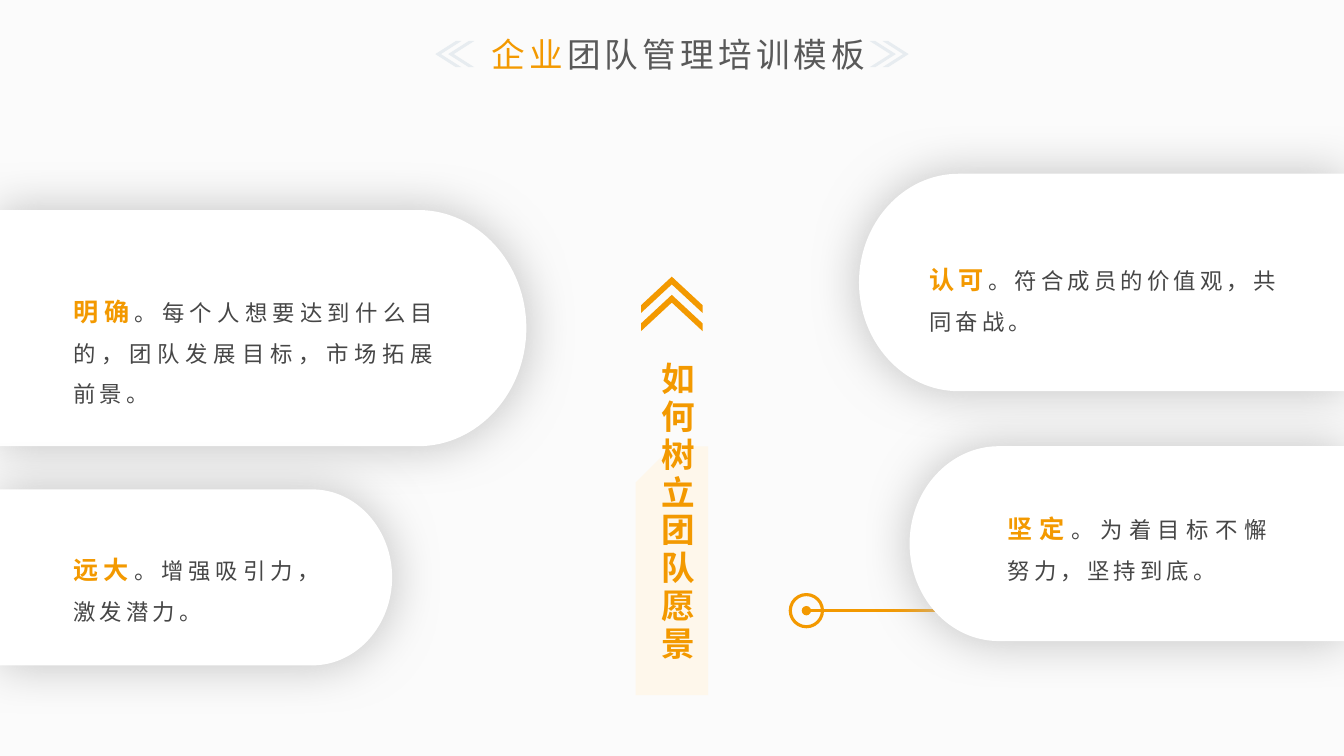
from lxml.etree import SubElement
from pptx import Presentation
from pptx.dml.color import RGBColor
from pptx.enum.shapes import MSO_CONNECTOR, MSO_SHAPE
from pptx.enum.text import MSO_ANCHOR, PP_ALIGN
from pptx.oxml.ns import qn
from pptx.util import Pt

FONT = "Noto Sans CJK SC"
COLORS = {
    "background": "FBFBFB",
    "accent": "F39900",
    "title": "595959",
    "body": "464646",
    "pale": "E7ECF0",
    "cream": "FEF7EB",
    "card": "FFFFFF",
    "shadow": "BFBFBF",
}
CURVE = 0.55
CARDS = [
    (960, 684.7, 613.6, 124.1, 279.4),
    (960, 713.5, 649.7, 318.7, 457.9),
    (0, 298.8, 376, 150, 318.7),
    (0, 223.2, 280.1, 349.6, 475.3),
]
VISIONS = [
    ("明确", "。每个人想要达到什么目的，团队发展目标，市场拓展前景。", (45.4, 197.3, 274.3, 95)),
    ("远大", "。增强吸引力，激发潜力。", (45.4, 381.6, 193.7, 66.2)),
    ("认可", "。符合成员的价值观，共同奋战。", (656.6, 174.2, 265, 66.2)),
    ("坚定", "。为着目标不懈努力，坚持到底。", (712.8, 352.1, 202.3, 66.2)),
]


def color(name):
    """Return the named colour."""
    return RGBColor.from_string(COLORS[name])


def add_text(paragraph, text, size=24, color_name="accent", bold=False):
    """Add a widely spaced run to a paragraph."""
    run = paragraph.add_run()
    run.text = text
    run.font.size = Pt(size)
    run.font.bold = bold
    run.font.color.rgb = color(color_name)
    run.font.name = FONT
    properties = run._r.get_or_add_rPr()
    properties.set("spc", "300")
    SubElement(properties, qn("a:ea"), typeface=FONT)


def add_preset(slide, kind, box, fill=None, line=None, rotation=0, adjustment=None):
    """Add a preset shape with a plain fill or outline."""
    shape = slide.shapes.add_shape(kind, *map(Pt, box))
    shape.shadow.inherit = False
    shape.rotation = rotation
    if adjustment is not None:
        shape.adjustments[0] = adjustment
    if fill:
        shape.fill.solid()
        shape.fill.fore_color.rgb = color(fill)
    else:
        shape.fill.background()
    if line:
        shape.line.color.rgb = color(line)
        shape.line.width = Pt(2.25)
    else:
        shape.line.fill.background()


def add_chevron(slide, box, fill, rotation):
    """Add a thin chevron."""
    add_preset(slide, MSO_SHAPE.CHEVRON, box, fill, rotation=rotation, adjustment=0.786)


def add_title(slide):
    """Fill the title placeholder and flank it with chevrons."""
    title = slide.shapes.title
    title.left, title.top, title.width, title.height = map(Pt, (341, 20.6, 287.3, 36))
    frame = title.text_frame
    frame.word_wrap = False
    frame.vertical_anchor = MSO_ANCHOR.MIDDLE
    paragraph = frame.paragraphs[0]
    paragraph.alignment = PP_ALIGN.CENTER
    paragraph.line_spacing = 1.0
    add_text(paragraph, "企业")
    add_text(paragraph, "团队管理培训模板", color_name="title")
    for left, rotation in ((621.2, 0), (630.4, 0), (320.1, 180), (310.9, 180)):
        add_chevron(slide, (left, 29.3, 18.7, 18.7), "pale", rotation)


def add_pointer(slide):
    """Add the line with a round head inside a ring."""
    connector = slide.shapes.add_connector(
        MSO_CONNECTOR.STRAIGHT, Pt(576), Pt(436.2), Pt(748.8), Pt(436.2)
    )
    connector.line.color.rgb = color("accent")
    connector.line.width = Pt(2.25)
    SubElement(connector.line._get_or_add_ln(), qn("a:headEnd"), type="oval")
    SubElement(connector._element.spPr, qn("a:effectLst"))
    add_preset(slide, MSO_SHAPE.OVAL, (564.5, 424.7, 23, 23), line="accent")


def add_center_column(slide):
    """Add the vertical heading with its panel and upward chevrons."""
    add_preset(slide, MSO_SHAPE.SNIP_1_RECTANGLE, (391, 381.8, 177.8, 51.8),
               "cream", rotation=270, adjustment=0.5)
    box = slide.shapes.add_textbox(*map(Pt, (457.9, 251.6, 43.9, 230.4)))
    frame = box.text_frame
    frame.word_wrap = False
    frame._txBody.bodyPr.set("vert", "eaVert")
    paragraph = frame.paragraphs[0]
    paragraph.alignment = PP_ALIGN.CENTER
    add_text(paragraph, "如何树立团队愿景", bold=True)
    for top in (201.6, 188.6):
        add_chevron(slide, (466.9, top, 25.9, 43.9), "accent", 270)


def bend_tip(card):
    """Turn the last six straight segments of a card into two curves."""
    segments = list(card._element.iter(qn("a:lnTo")))[-6:]
    for first, second, third in (segments[:3], segments[3:]):
        curve = first.makeelement(qn("a:cubicBezTo"))
        first.addprevious(curve)
        for segment in (first, second, third):
            curve.append(segment[0])
            segment.getparent().remove(segment)


def add_card(slide, edge, straight, tip, top, bottom):
    """Add a shadowed card that runs from a slide edge to a rounded tip."""
    middle = (top + bottom) / 2
    reach = (tip - straight) * CURVE
    rise = (bottom - top) / 2 * CURVE
    outline = [
        (edge, top), (edge, bottom), (straight, bottom),
        (straight + reach, bottom), (tip, middle + rise), (tip, middle),
        (tip, middle - rise), (straight + reach, top), (straight, top),
    ]
    builder = slide.shapes.build_freeform(Pt(straight), Pt(top))
    builder.add_line_segments([(Pt(x), Pt(y)) for x, y in outline])
    card = builder.convert_to_shape()
    bend_tip(card)
    card.fill.solid()
    card.fill.fore_color.rgb = color("card")
    card.line.fill.background()
    effects = SubElement(card._element.spPr, qn("a:effectLst"))
    shadow = SubElement(effects, qn("a:outerShdw"), blurRad=str(Pt(35)), dist="0",
                        dir="0", algn="ctr", rotWithShape="0")
    shade = SubElement(shadow, qn("a:srgbClr"), val=COLORS["shadow"])
    SubElement(shade, qn("a:alpha"), val="97000")


def add_vision(slide, keyword, description, box):
    """Add a justified statement led by a bold keyword."""
    frame = slide.shapes.add_textbox(*map(Pt, box)).text_frame
    frame.word_wrap = True
    frame.margin_top = Pt(7.2)
    paragraph = frame.paragraphs[0]
    paragraph.alignment = PP_ALIGN.JUSTIFY
    paragraph.line_spacing = Pt(28.8)
    add_text(paragraph, keyword, size=18, bold=True)
    add_text(paragraph, description, size=16, color_name="body")


def main():
    """Build and save the slide."""
    presentation = Presentation()
    presentation.slide_width, presentation.slide_height = Pt(960), Pt(540)
    slide = presentation.slides.add_slide(presentation.slide_layouts[5])
    slide.background.fill.solid()
    slide.background.fill.fore_color.rgb = color("background")
    add_title(slide)
    add_pointer(slide)
    add_center_column(slide)
    for card in CARDS:
        add_card(slide, *card)
    for vision in VISIONS:
        add_vision(slide, *vision)
    presentation.save("out.pptx")


if __name__ == "__main__":
    main()
